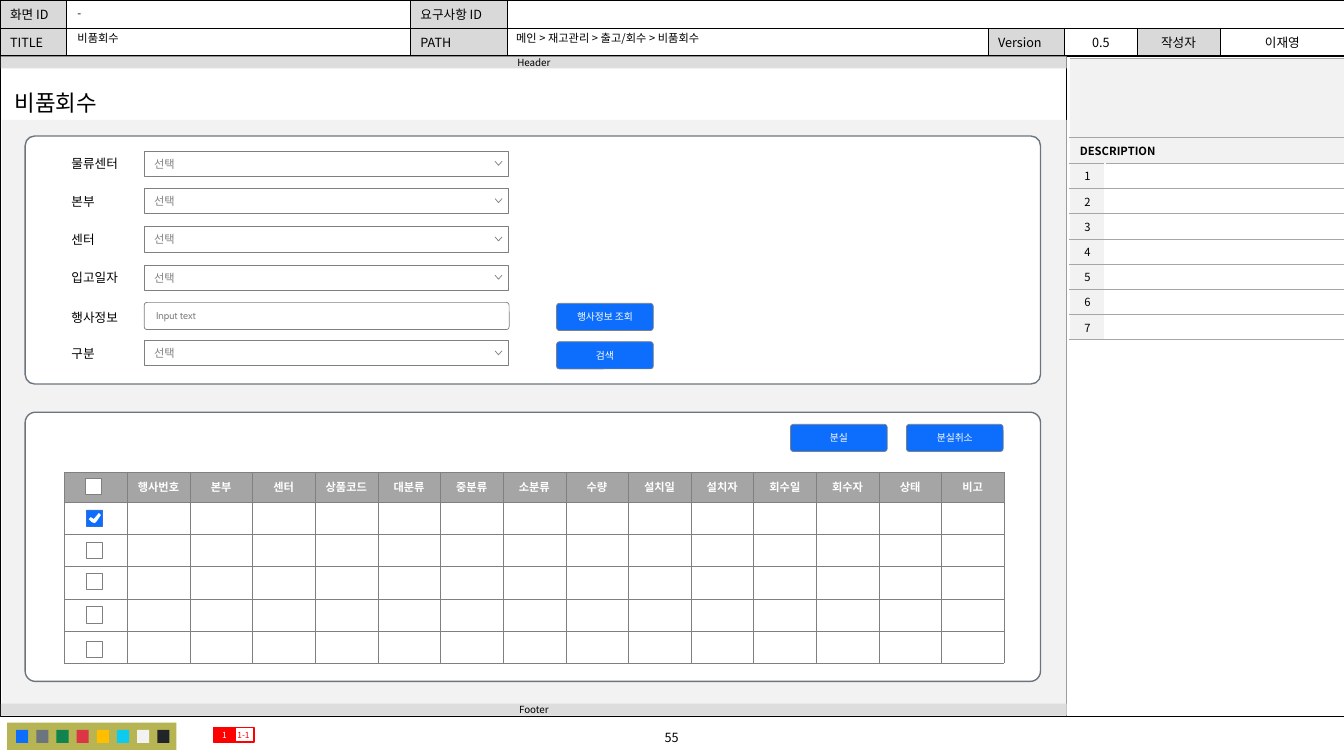
from lxml.etree import SubElement
from pptx import Presentation
from pptx.dml.color import RGBColor
from pptx.enum.shapes import MSO_CONNECTOR, MSO_SHAPE
from pptx.enum.text import MSO_ANCHOR, PP_ALIGN
from pptx.oxml import parse_xml
from pptx.oxml.ns import nsdecls, qn
from pptx.util import Inches, Pt

BLACK = RGBColor(0x00, 0x00, 0x00)
WHITE = RGBColor(0xFF, 0xFF, 0xFF)
RED = RGBColor(0xFF, 0x00, 0x00)
BLUE = RGBColor(0x0D, 0x6E, 0xFD)
CHECK_LINE = RGBColor(0x32, 0x72, 0xDD)
SLATE = RGBColor(0x6C, 0x75, 0x7D)
GRAY = RGBColor(0x80, 0x80, 0x80)
HEAD_GRAY = RGBColor(0xA5, 0xA5, 0xA5)
RULE_GRAY = RGBColor(0xA6, 0xA6, 0xA6)
LABEL_GRAY = RGBColor(0xD9, 0xD9, 0xD9)
BAR_GRAY = RGBColor(0xDD, 0xDD, 0xDD)
PALE = RGBColor(0xF2, 0xF2, 0xF2)
OLIVE = RGBColor(0xB7, 0xB5, 0x53)
PALETTE = [BLUE, SLATE, RGBColor(0x10, 0x83, 0x4E), RGBColor(0xDC, 0x35, 0x45),
           RGBColor(0xFF, 0xBE, 0x00), RGBColor(0x0D, 0xCA, 0xF0), PALE,
           RGBColor(0x21, 0x25, 0x29)]

LEFT, CENTER = PP_ALIGN.LEFT, PP_ALIGN.CENTER
INSETS = (0.1, 0.05, 0.1, 0.05)
BUTTON_INSETS = (0.11, 0.07, 0.11, 0.07)
NO_INSETS = (0, 0, 0, 0)


class Wireframe:
    """Draws wireframe elements on one slide; lengths are given in inches."""

    body_font = "Noto Sans CJK KR"
    control_font = "Cabin"

    def __init__(self, slide):
        self.slide = slide
        self.shapes = slide.shapes

    def set_text(self, frame, text, size, color=BLACK, align=LEFT, bold=False, font=None):
        frame.text = text
        paragraph = frame.paragraphs[0]
        paragraph.alignment = align
        for run in paragraph.runs:
            run.font.name = font or self.body_font
            run.font.size = Pt(size)
            run.font.bold = bold
            run.font.color.rgb = color
            east_asian = SubElement(run.font._element, qn("a:ea"))
            east_asian.set("typeface", font or self.body_font)

    def set_insets(self, target, insets):
        sides = [Inches(inset) for inset in insets]
        target.margin_left, target.margin_top, target.margin_right, target.margin_bottom = sides

    def paint(self, shape, fill, line, width):
        shape.shadow.inherit = False
        if fill is None:
            shape.fill.background()
        else:
            shape.fill.solid()
            shape.fill.fore_color.rgb = fill
        if line is None:
            shape.line.fill.background()
        else:
            shape.line.color.rgb = line
            shape.line.width = Pt(width)

    def box(self, left, top, width, height, fill=None, line=None, line_width=0.5,
            radius=None, text="", insets=INSETS, **style):
        kind = MSO_SHAPE.RECTANGLE if radius is None else MSO_SHAPE.ROUNDED_RECTANGLE
        shape = self.shapes.add_shape(kind, *map(Inches, (left, top, width, height)))
        if radius is not None:
            shape.adjustments[0] = radius
        self.paint(shape, fill, line, line_width)
        if text:
            frame = shape.text_frame
            frame.word_wrap = True
            frame.vertical_anchor = MSO_ANCHOR.MIDDLE
            self.set_insets(frame, insets)
            self.set_text(frame, text, **style)

    def text(self, left, top, width, height, text, size, wrap=True, align=LEFT):
        shape = self.shapes.add_textbox(*map(Inches, (left, top, width, height)))
        frame = shape.text_frame
        frame.word_wrap = wrap
        frame.vertical_anchor = MSO_ANCHOR.MIDDLE
        self.set_text(frame, text, size, align=align)

    def line(self, start, end, color, width):
        connector = self.shapes.add_connector(MSO_CONNECTOR.STRAIGHT, *map(Inches, start + end))
        connector.line.color.rgb = color
        connector.line.width = Pt(width)
        SubElement(connector._element.spPr, qn("a:effectLst"))

    def outline(self, points, fill, line=None, close=False):
        points = [(Inches(x), Inches(y)) for x, y in points]
        builder = self.shapes.build_freeform(*points[0])
        builder.add_line_segments(points[1:], close=close)
        self.paint(builder.convert_to_shape(), fill, line, 0.5)

    def button(self, left, top, text):
        self.box(left, top, 0.96, 0.27, BLUE, GRAY, radius=0.108, text=text,
                 insets=BUTTON_INSETS, size=7, color=WHITE, align=CENTER,
                 font=self.control_font)

    def dropdown(self, left, top):
        self.box(left, top, 3.61, 0.25, WHITE, GRAY, text="선택",
                 insets=(0.1, 0.06, 0.28, 0.06), size=8, color=GRAY, font=self.control_font)
        right, arrow_top = left + 3.55, top + 0.1
        self.outline([(right, arrow_top), (right - 0.035, arrow_top + 0.04),
                      (right - 0.07, arrow_top)], WHITE, GRAY)

    def checkbox(self, left, top, checked=False):
        self.box(left, top, 0.16, 0.16, BLUE if checked else WHITE,
                 CHECK_LINE if checked else GRAY)
        if checked:
            tick = [(0.12, 0.03), (0.07, 0.09), (0.04, 0.07), (0.02, 0.09),
                    (0.05, 0.12), (0.08, 0.13), (0.1, 0.11), (0.14, 0.05)]
            self.outline([(left + x, top + y) for x, y in tick], WHITE, close=True)

    def table(self, left, top, columns, rows):
        frame = self.shapes.add_table(len(rows), len(columns), Inches(left), Inches(top),
                                      Inches(sum(columns)), Inches(sum(rows)))
        table = frame.table
        table.first_row = table.horz_banding = False
        for column, width in zip(table.columns, columns):
            column.width = Inches(width)
        for row, height in zip(table.rows, rows):
            row.height = Inches(height)
        return table

    def cell(self, cell, text, fill, border, border_width, sides="LRTB",
             insets=NO_INSETS, size=8, **style):
        cell.fill.solid()
        cell.fill.fore_color.rgb = fill
        cell.vertical_anchor = MSO_ANCHOR.MIDDLE
        self.set_insets(cell, insets)
        if text:
            self.set_text(cell.text_frame, text, size, **style)
        else:
            end = SubElement(cell.text_frame.paragraphs[0]._p, qn("a:endParaRPr"))
            end.set("sz", str(size * 100))
        properties = cell._tc.get_or_add_tcPr()
        for index, side in enumerate(sides):
            properties.insert(index, parse_xml(
                f'<a:ln{side} {nsdecls("a")} w="{Pt(border_width)}"><a:solidFill>'
                f'<a:srgbClr val="{border}"/></a:solidFill></a:ln{side}>'))


def draw_page_frame(page):
    header = page.table(0, 0, [0.66, 3.41, 0.96, 4.77, 0.76, 0.72, 0.82, 1.24], [0.28, 0.28])
    header.cell(0, 3).merge(header.cell(0, 7))
    header_texts = [["화면 ID", "", "요구사항 ID", "", "", "", "", ""],
                    ["TITLE", "", "PATH", "", "Version", "0.5", "작성자", "이재영"]]
    for row, texts in enumerate(header_texts):
        for column, text in enumerate(texts):
            shaded = text and column in (0, 2, 4, 6)
            page.cell(header.cell(row, column), text, LABEL_GRAY if shaded else WHITE,
                      BLACK, 0.5, insets=(0.1, 0.04, 0.1, 0.04), size=9,
                      align=CENTER if column > 4 else LEFT)
    page.box(0, 0.55, 13.33, 6.56, line=BLACK, line_width=0.25)
    page.text(5.37, 7.19, 2.58, 0.25, "55", 9, align=CENTER)
    page.line((10.58, 0.56), (10.58, 7.11), BLACK, 0.5)
    page.box(0.07, 7.17, 1.68, 0.27, OLIVE)
    for index, color in enumerate(PALETTE):
        page.box(0.16 + 0.2 * index, 7.24, 0.12, 0.13, color)
    page.box(0.02, 1.19, 10.56, 5.91, PALE)
    for top, text in ((6.98, "Footer"), (0.56, "Header")):
        page.box(0.01, top, 10.57, 0.12, BAR_GRAY, text=text, insets=NO_INSETS,
                 size=7, align=CENTER)
    page.text(5.02, 0.26, 4.74, 0.23, "메인 > 재고관리 > 출고/회수 > 비품회수", 8)
    page.text(0.67, 0.01, 3.4, 0.23, "-", 8)
    page.text(0.67, 0.28, 3.38, 0.2, "비품회수", 8)
    for left, text, fill, color in ((2.31, "1-1", None, RED), (2.12, "1", RED, WHITE)):
        page.box(left, 7.22, 0.21, 0.14, fill, RED, 1, text=text, insets=NO_INSETS,
                 size=6, color=color, align=CENTER)
    page.text(0.05, 0.83, 1.1, 0.37, "비품회수", 16, wrap=False)


def draw_description(page):
    table = page.table(10.61, 0.58, [0.35, 2.37], [0.78, 0.26] + [0.25] * 7)
    for row in range(9):
        if row < 2:
            table.cell(row, 0).merge(table.cell(row, 1))
        for column in range(2):
            numbered = row > 1 and column == 0
            title = row == 1 and column == 0
            text = "DESCRIPTION" if title else str(row - 1) if numbered else ""
            page.cell(table.cell(row, column), text, PALE if row < 2 or numbered else WHITE,
                      RULE_GRAY, 0.5, sides="RTB", insets=INSETS if title else NO_INSETS,
                      align=CENTER if numbered else LEFT, bold=title)


def draw_search_panel(page):
    page.box(0.25, 1.35, 10.07, 2.46, WHITE, SLATE, 1, radius=0.038)
    fields = [("물류센터", 1.5), ("본부", 1.87), ("센터", 2.25),
              ("입고일자", 2.63), ("행사정보", 3.02), ("구분", 3.38)]
    for label, top in fields:
        page.text(0.61, top, 0.75, 0.25, label, 9)
        if label == "행사정보":
            page.box(1.43, 3, 3.62, 0.27, WHITE, GRAY, radius=0.108, text="Input text",
                     insets=BUTTON_INSETS, size=7, color=GRAY, font=page.control_font)
        else:
            page.dropdown(1.43, top)
    page.button(5.52, 3.01, "행사정보 조회")
    page.button(5.52, 3.39, "검색")


def draw_result_panel(page):
    page.box(0.25, 4.09, 10.07, 2.67, WHITE, SLATE, 1, radius=0.038)
    page.button(7.84, 4.21, "분실")
    page.button(8.99, 4.21, "분실취소")
    headings = ["", "행사번호", "본부", "센터", "상품코드", "대분류", "중분류", "소분류",
                "수량", "설치일", "설치자", "회수일", "회수자", "상태", "비고"]
    table = page.table(0.64, 4.68, [9.32 / len(headings)] * len(headings), [0.3] + [0.32] * 5)
    for row in range(6):
        for column, heading in enumerate(headings):
            page.cell(table.cell(row, column), "" if row else heading,
                      WHITE if row else HEAD_GRAY, GRAY, 0.25,
                      insets=(0.06, 0.04, 0.06, 0.04), color=WHITE, align=CENTER, bold=True)
    for row, top in enumerate((4.75, 5.06, 5.38, 5.69, 6.02, 6.36)):
        page.checkbox(0.86 if row else 0.85, top, checked=row == 1)


def main():
    presentation = Presentation()
    presentation.slide_width = Inches(13.33)
    presentation.slide_height = Inches(7.5)
    page = Wireframe(presentation.slides.add_slide(presentation.slide_layouts[6]))
    draw_page_frame(page)
    draw_description(page)
    draw_search_panel(page)
    draw_result_panel(page)
    presentation.save("out.pptx")


if __name__ == "__main__":
    main()
